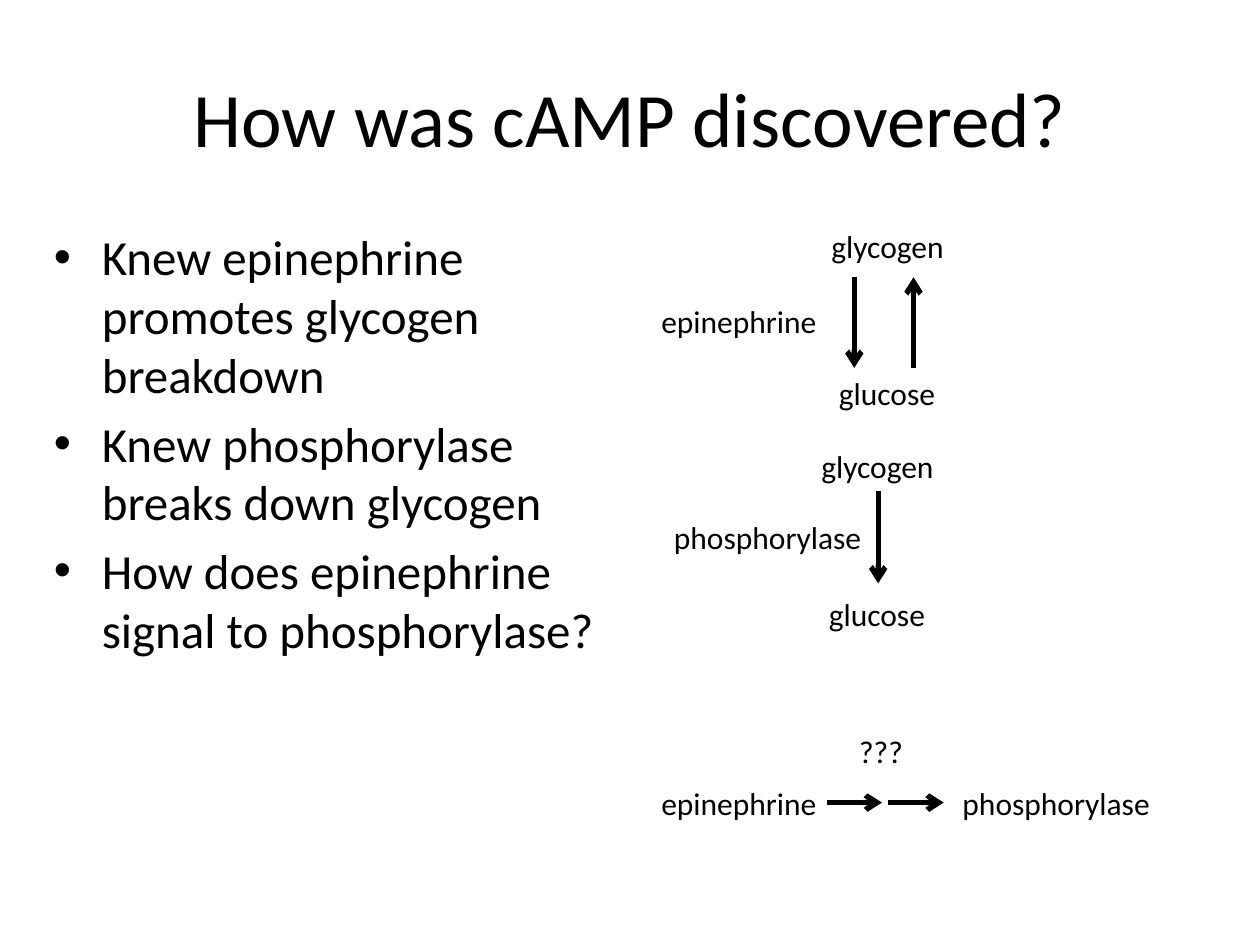
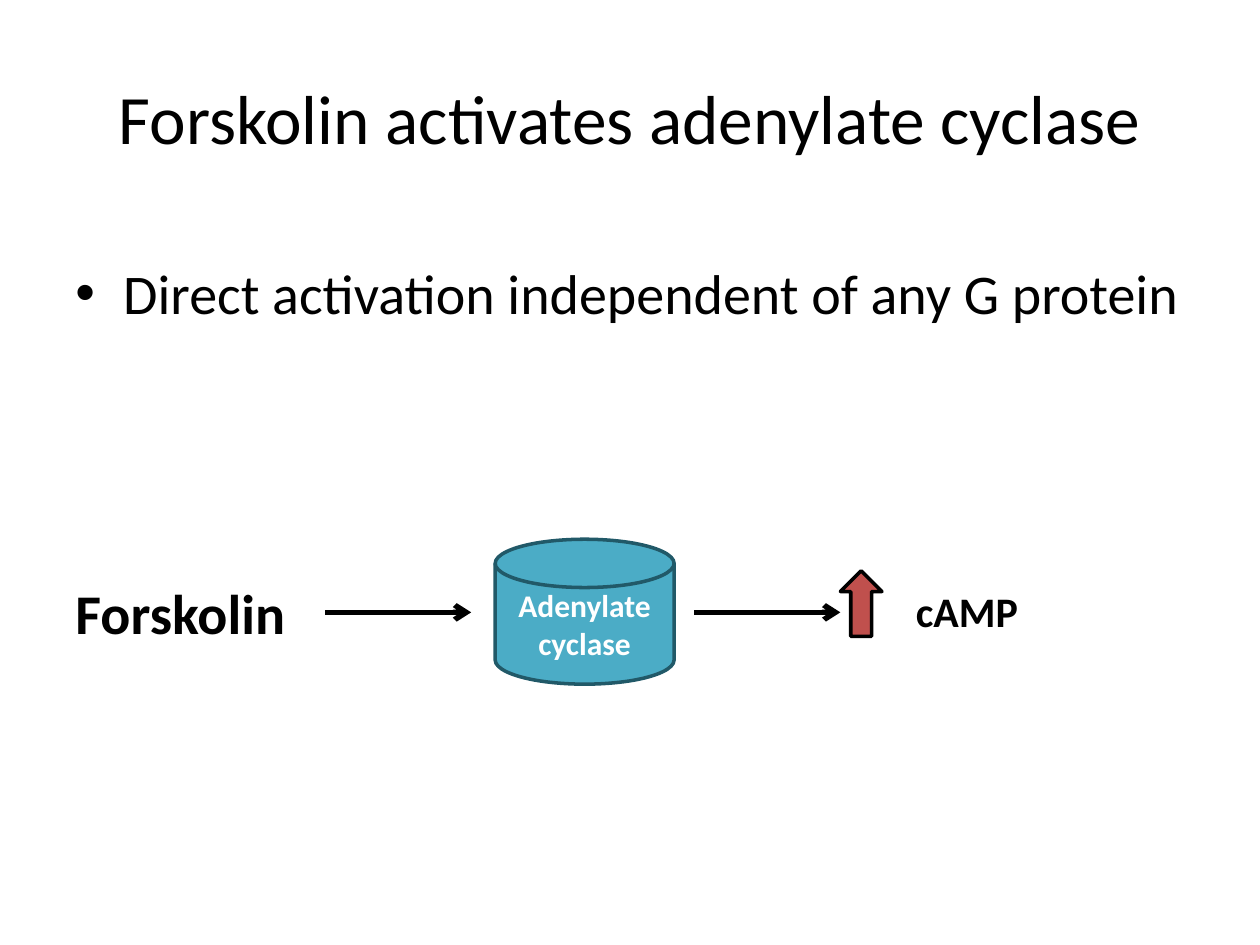
"""Build two slides on the discovery of cAMP and on forskolin."""
import pptx
import pptx.dml.color
import pptx.enum.shapes
import pptx.enum.text
import pptx.oxml.ns
import pptx.util
from lxml import etree

Inches = pptx.util.Inches
Pt = pptx.util.Pt
RGBColor = pptx.dml.color.RGBColor
qn = pptx.oxml.ns.qn
MSO_SHAPE = pptx.enum.shapes.MSO_SHAPE
ALIGN = pptx.enum.text.PP_ALIGN
ANCHOR = pptx.enum.text.MSO_ANCHOR

BLACK = RGBColor(0x00, 0x00, 0x00)
WHITE = RGBColor(0xFF, 0xFF, 0xFF)
TEAL = RGBColor(0x4B, 0xAC, 0xC6)
DARK_TEAL = RGBColor(0x21, 0x59, 0x68)
RED = RGBColor(0xC0, 0x50, 0x4D)


class Deck:
    FONT = {"name": "Calibri", "bold": False}
    TITLE_ONLY = 5

    def __init__(self):
        self.prs = pptx.Presentation()
        self.prs.slide_width = Inches(10)
        self.prs.slide_height = Inches(7.5)

    def run(self, p, text, size, color=BLACK, **formats):
        r = p.add_run()
        r.text = text
        r.font.color.rgb = color
        for name, value in {**self.FONT, "size": Pt(size), **formats}.items():
            setattr(r.font, name, value)

    def slide(self, title, size=44):
        self.s = self.prs.slides.add_slide(self.prs.slide_layouts[self.TITLE_ONLY])
        sp = self.s.shapes.title
        box = {"left": 0.5, "top": 0.3, "width": 9, "height": 1.25}
        for name, value in box.items():
            setattr(sp, name, Inches(value))
        tf = sp.text_frame
        tf.vertical_anchor = ANCHOR.MIDDLE
        p = tf.paragraphs[0]
        p.alignment = ALIGN.CENTER
        self.run(p, title, size)

    def textbox(self, x, y, w, h, wrap):
        sp = self.s.shapes.add_textbox(Inches(x), Inches(y), Inches(w), Inches(h))
        sp.text_frame.word_wrap = wrap
        return sp

    def bullets(self, x, y, w, h, items, size):
        tf = self.textbox(x, y, w, h, True).text_frame
        for i, item in enumerate(items):
            p = tf.add_paragraph() if i else tf.paragraphs[0]
            p.space_before = Pt(0.2 * size)
            pPr = p._p.get_or_add_pPr()
            pPr.set("marL", str(Inches(0.38)))
            pPr.set("indent", str(Inches(-0.38)))
            etree.SubElement(pPr, qn("a:buFont")).set("typeface", "Arial")
            etree.SubElement(pPr, qn("a:buChar")).set("char", "•")
            self.run(p, item, size)

    def label(self, x, y, w, text, size=18, h=0.4, bold=False):
        sp = self.textbox(x, y, w, h, False)
        sp.text_frame.auto_size = pptx.enum.text.MSO_AUTO_SIZE.SHAPE_TO_FIT_TEXT
        self.run(sp.text_frame.paragraphs[0], text, size, bold=bold)
        return sp

    def arrow(self, x1, y1, x2, y2, source=None):
        cx = self.s.shapes.add_connector(
            pptx.enum.shapes.MSO_CONNECTOR.STRAIGHT,
            Inches(x1), Inches(y1), Inches(x2), Inches(y2))
        if source is not None:
            cx.begin_connect(source, 2)
        cx.line.color.rgb = BLACK
        cx.line.width = Pt(3)
        spPr = cx._element.spPr
        etree.SubElement(spPr.find(qn("a:ln")), qn("a:tailEnd")).set("type", "arrow")
        etree.SubElement(spPr, qn("a:effectLst"))

    def shape(self, kind, x, y, w, h, fill, line, text=""):
        sp = self.s.shapes.add_shape(kind, Inches(x), Inches(y), Inches(w), Inches(h))
        sp.shadow.inherit = False
        sp.fill.solid()
        sp.fill.fore_color.rgb = fill
        sp.line.color.rgb = line
        sp.line.width = Pt(2)
        if text:
            tf = sp.text_frame
            tf.word_wrap = True
            tf.vertical_anchor = ANCHOR.MIDDLE
            p = tf.paragraphs[0]
            p.alignment = ALIGN.CENTER
            self.run(p, text, 18, WHITE, bold=True)

    def reaction(self, x, y):
        glycogen = self.label(x, y, 1.1, "glycogen")
        self.label(x + 0.06, y + 1.17, 0.97, "glucose")
        return glycogen


def discovery(deck):
    deck.slide("How was cAMP discovered?")
    deck.bullets(0.33, 1.75, 4.65, 4.95, [
        "Knew epinephrine promotes glycogen breakdown",
        "Knew phosphorylase breaks down glycogen",
        "How does epinephrine signal to phosphorylase?",
    ], 28)

    deck.reaction(6.5, 1.75)
    deck.arrow(6.78, 2.2, 6.78, 2.92)
    deck.arrow(7.25, 2.92, 7.25, 2.2)
    deck.label(5.15, 2.35, 1.45, "epinephrine")

    glycogen = deck.reaction(6.42, 3.5)
    deck.arrow(6.97, 3.9, 6.97, 4.63, glycogen)
    deck.label(5.25, 4.06, 1.71, "phosphorylase")

    deck.label(5.15, 6.17, 1.45, "epinephrine")
    for x in (6.56, 7.05):
        deck.arrow(x, 6.37, x + 0.44, 6.37)
    deck.label(6.72, 5.76, 0.55, "???")
    deck.label(7.54, 6.17, 1.71, "phosphorylase")


def forskolin(deck):
    deck.slide("Forskolin activates adenylate cyclase", 39.6)
    deck.bullets(0.5, 2, 9, 1.67, ["Direct activation independent of any G protein"], 32)
    deck.label(0.5, 4.54, 1.88, "Forskolin", 32, 0.64, True)
    deck.shape(MSO_SHAPE.FLOWCHART_MAGNETIC_DISK, 3.93, 4.28, 1.42, 1.15,
               TEAL, DARK_TEAL, "Adenylate cyclase")
    for x in (2.58, 5.51):
        deck.arrow(x, 4.86, x + 1.16, 4.86)
    deck.shape(MSO_SHAPE.UP_ARROW, 6.67, 4.53, 0.33, 0.52, RED, BLACK)
    deck.label(7.17, 4.6, 1.02, "cAMP", 24, 0.5, True)


def main():
    deck = Deck()
    discovery(deck)
    forskolin(deck)
    deck.prs.save("out.pptx")


if __name__ == "__main__":
    main()
